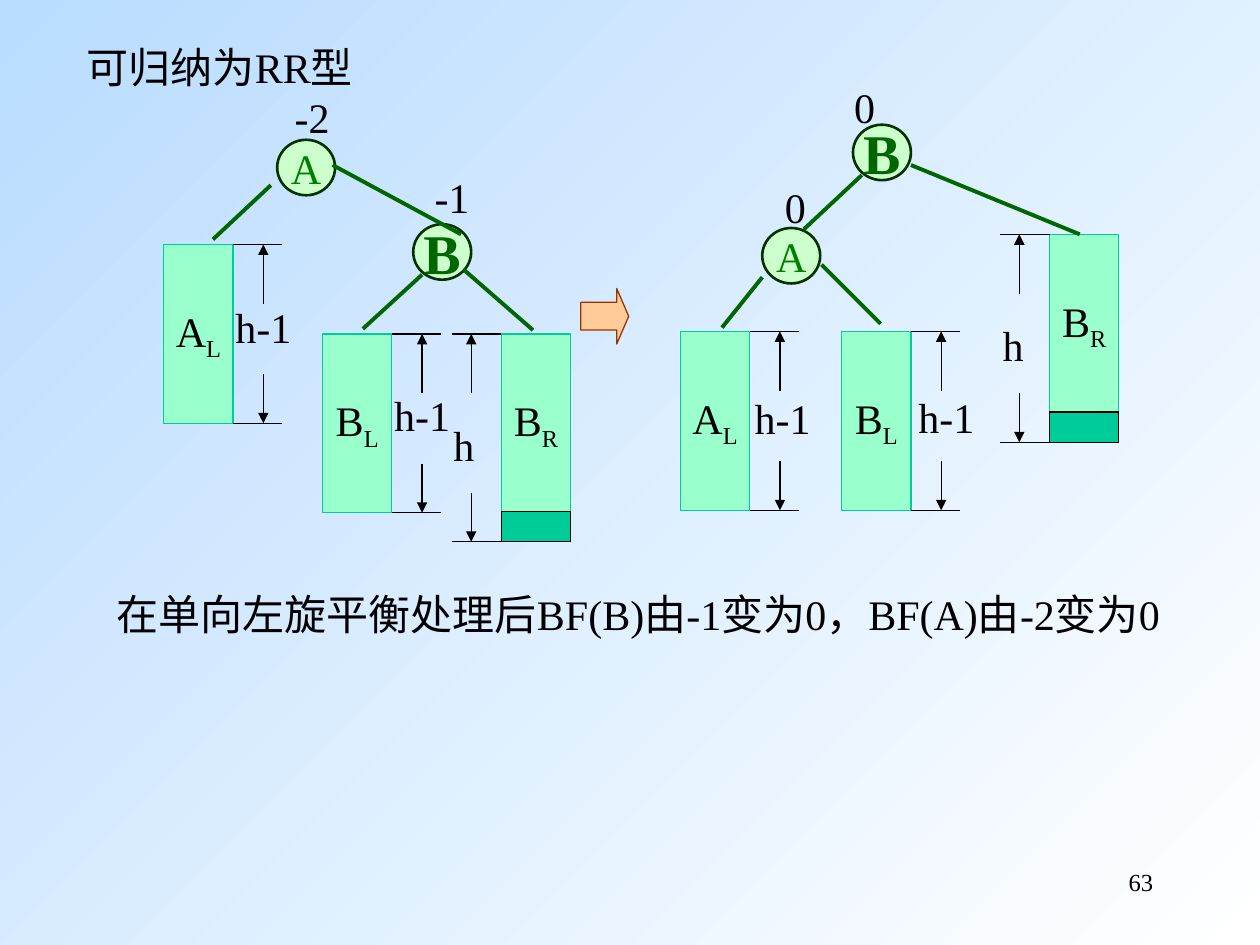
from lxml import etree
from pptx import Presentation
from pptx.dml.color import RGBColor
from pptx.enum.shapes import MSO_CONNECTOR, MSO_SHAPE
from pptx.enum.text import MSO_ANCHOR, MSO_AUTO_SIZE, PP_ALIGN
from pptx.oxml.ns import qn
from pptx.util import Inches, Pt

STRAIGHT = MSO_CONNECTOR.STRAIGHT
OVAL, RECTANGLE, RIGHT_ARROW = MSO_SHAPE.OVAL, MSO_SHAPE.RECTANGLE, MSO_SHAPE.RIGHT_ARROW
MIDDLE = MSO_ANCHOR.MIDDLE
FIT_TEXT = MSO_AUTO_SIZE.SHAPE_TO_FIT_TEXT
LEFT, CENTER, RIGHT = PP_ALIGN.LEFT, PP_ALIGN.CENTER, PP_ALIGN.RIGHT

FONT = "Times New Roman"
BLACK = RGBColor(0x00, 0x00, 0x00)
WHITE = RGBColor(0xFF, 0xFF, 0xFF)
SKY = RGBColor(0xB9, 0xDC, 0xFF)
NODE_FILL = RGBColor(0xCC, 0xFF, 0xCC)
NODE_LINE = RGBColor(0x00, 0x33, 0x00)
A_GREEN = RGBColor(0x00, 0x80, 0x00)
EDGE_GREEN = RGBColor(0x00, 0x66, 0x00)
MINT = RGBColor(0x99, 0xFF, 0xCC)
TEAL = RGBColor(0x00, 0xCC, 0x99)
PEACH = RGBColor(0xFF, 0xCC, 0x99)
RUST = RGBColor(0x99, 0x33, 0x00)

NODE_WIDTH, NODE_HEIGHT = 0.46, 0.44
BAR_WIDTH, BAR_HEIGHT, EXTRA_HEIGHT = 0.55, 1.42, 0.24
TICK_LENGTH, ARROW_OFFSET = 0.39, 0.24
UPPER_ARROW, LOWER_ARROW = 0.47, 0.39


def set_background(page):
    """Fill the page with a diagonal gradient."""
    fill = page.background.fill
    fill.gradient()
    fill.gradient_angle = 315
    for stop, color in zip(fill.gradient_stops, (SKY, WHITE)):
        stop.color.rgb = color


def format_span(span, size, color, bold=False):
    """Set the font of one run."""
    span.font.name = FONT
    span.font.size = Pt(size)
    span.font.color.rgb = color
    span.font.bold = bold


def add_text(page, text, left, top, width, height=0.5, size=24, align=LEFT):
    """Add a wrapped text box."""
    box = page.shapes.add_textbox(Inches(left), Inches(top), Inches(width), Inches(height))
    frame = box.text_frame
    frame.word_wrap = True
    frame.auto_size = FIT_TEXT
    frame.text = text
    para = frame.paragraphs[0]
    para.alignment = align
    format_span(para.runs[0], size, BLACK)


def add_block(page, kind, left, top, width, height, fill, outline, weight=0.75):
    """Add a filled and outlined preset shape."""
    block = page.shapes.add_shape(kind, Inches(left), Inches(top), Inches(width), Inches(height))
    block.shadow.inherit = False
    block.fill.solid()
    block.fill.fore_color.rgb = fill
    block.line.color.rgb = outline
    block.line.width = Pt(weight)
    return block


def write_centered(block, text, size, color, bold=False):
    """Write an unwrapped centred label in a shape and return its paragraph."""
    frame = block.text_frame
    frame.word_wrap = False
    frame.vertical_anchor = MIDDLE
    frame.text = text
    para = frame.paragraphs[0]
    para.alignment = CENTER
    format_span(para.runs[0], size, color, bold)
    return para


def add_node(page, name, left, top):
    """Add a tree node; B is larger and bold."""
    node = add_block(page, OVAL, left, top, NODE_WIDTH, NODE_HEIGHT, NODE_FILL, NODE_LINE, 1.5)
    if name == "B":
        write_centered(node, name, 32, EDGE_GREEN, True)
    else:
        write_centered(node, name, 24, A_GREEN)


def add_line(page, start, end, color=BLACK, weight=0.75, arrow=False):
    """Add a straight line, with an arrowhead at its end if asked."""
    connector = page.shapes.add_connector(STRAIGHT, *map(Inches, start + end))
    connector.line.color.rgb = color
    connector.line.width = Pt(weight)
    if arrow:
        etree.SubElement(connector.get_or_add_ln(), qn("a:tailEnd"), type="triangle")
    etree.SubElement(connector._element.spPr, qn("a:effectLst"))


def add_bracket(page, edge, side, top, bottom):
    """Mark a height beside a bar; side is 1 for right and -1 for left."""
    for y in (top, bottom):
        add_line(page, (edge, y), (edge + side * TICK_LENGTH, y))
    x = edge + side * ARROW_OFFSET
    add_line(page, (x, top + UPPER_ARROW), (x, top), arrow=True)
    add_line(page, (x, bottom - LOWER_ARROW), (x, bottom), arrow=True)


def add_subtree(page, name, child, left, top, label_left, label_top):
    """Add a subtree bar with its height; right subtrees hold one extra level."""
    bar = add_block(page, RECTANGLE, left, top, BAR_WIDTH, BAR_HEIGHT, MINT, TEAL)
    para = write_centered(bar, name, 24, BLACK)
    subscript = para.add_run()
    subscript.text = child
    format_span(subscript, 24, BLACK)
    subscript._r.get_or_add_rPr().set("baseline", "-25000")
    bottom = top + BAR_HEIGHT
    if child == "R":
        add_block(page, RECTANGLE, left, bottom - 0.01, BAR_WIDTH, EXTRA_HEIGHT, TEAL, BLACK)
        add_bracket(page, left, -1, top, bottom - 0.01 + EXTRA_HEIGHT)
        add_text(page, "h", label_left, label_top, 0.94)
    else:
        add_bracket(page, left + BAR_WIDTH, 1, top, bottom)
        add_text(page, "h-1", label_left, label_top, 0.94)


def add_tree(page, nodes, subtrees, edges, factors):
    """Add one tree with its subtrees, edges and balance factors."""
    for node in nodes:
        add_node(page, *node)
    for subtree in subtrees:
        add_subtree(page, *subtree)
    for start, end in edges:
        add_line(page, start, end, EDGE_GREEN, 2.25)
    for text, left, top, width in factors:
        add_text(page, text, left, top, width)


def main():
    """Build the slide on the RR rotation."""
    deck = Presentation()
    deck.slide_width, deck.slide_height = Inches(10), Inches(7.5)
    page = deck.slides.add_slide(deck.slide_layouts[6])
    set_background(page)
    add_text(page, "可归纳为RR型", 0.59, 0.28, 2.99)
    add_tree(
        page,
        nodes=[("A", 2.2, 1.11), ("B", 3.28, 1.78)],
        subtrees=[
            ("A", "L", 1.3, 1.94, 1.77, 2.34),
            ("B", "L", 2.56, 2.65, 3.03, 3.04),
            ("B", "R", 3.98, 2.65, 3.5, 3.28),
        ],
        edges=[
            ((2.15, 1.47), (1.69, 1.9)),
            ((3.66, 1.86), (2.64, 1.31)),
            ((3.35, 2.18), (2.88, 2.61)),
            ((4.23, 2.62), (3.68, 2.14)),
        ],
        factors=[("-2", 2.24, 0.68, 0.71), ("-1", 3.35, 1.31, 0.71)],
    )
    rotation = add_block(page, RIGHT_ARROW, 4.61, 2.29, 0.38, 0.44, PEACH, RUST)
    rotation.adjustments[0], rotation.adjustments[1] = 0.5, 0.25
    add_tree(
        page,
        nodes=[("A", 6.05, 1.81), ("B", 6.77, 0.99)],
        subtrees=[
            ("A", "L", 5.4, 2.63, 5.89, 3.07),
            ("B", "L", 6.68, 2.63, 7.19, 3.06),
            ("B", "R", 8.33, 1.86, 7.86, 2.49),
        ],
        edges=[
            ((8.57, 1.86), (7.23, 1.31)),
            ((6.84, 1.39), (6.38, 1.82)),
            ((5.73, 2.6), (6.05, 2.2)),
            ((6.99, 2.57), (6.52, 2.1)),
        ],
        factors=[("0", 6.68, 0.6, 0.39), ("0", 6.13, 1.39, 0.39)],
    )
    add_text(page, "在单向左旋平衡处理后BF(B)由-1变为0，BF(A)由-2变为0", 0.83, 4.62, 8.58, 0.9)
    add_text(page, "63", 7.17, 6.83, 2.08, size=14, align=RIGHT)
    deck.save("out.pptx")


if __name__ == "__main__":
    main()
